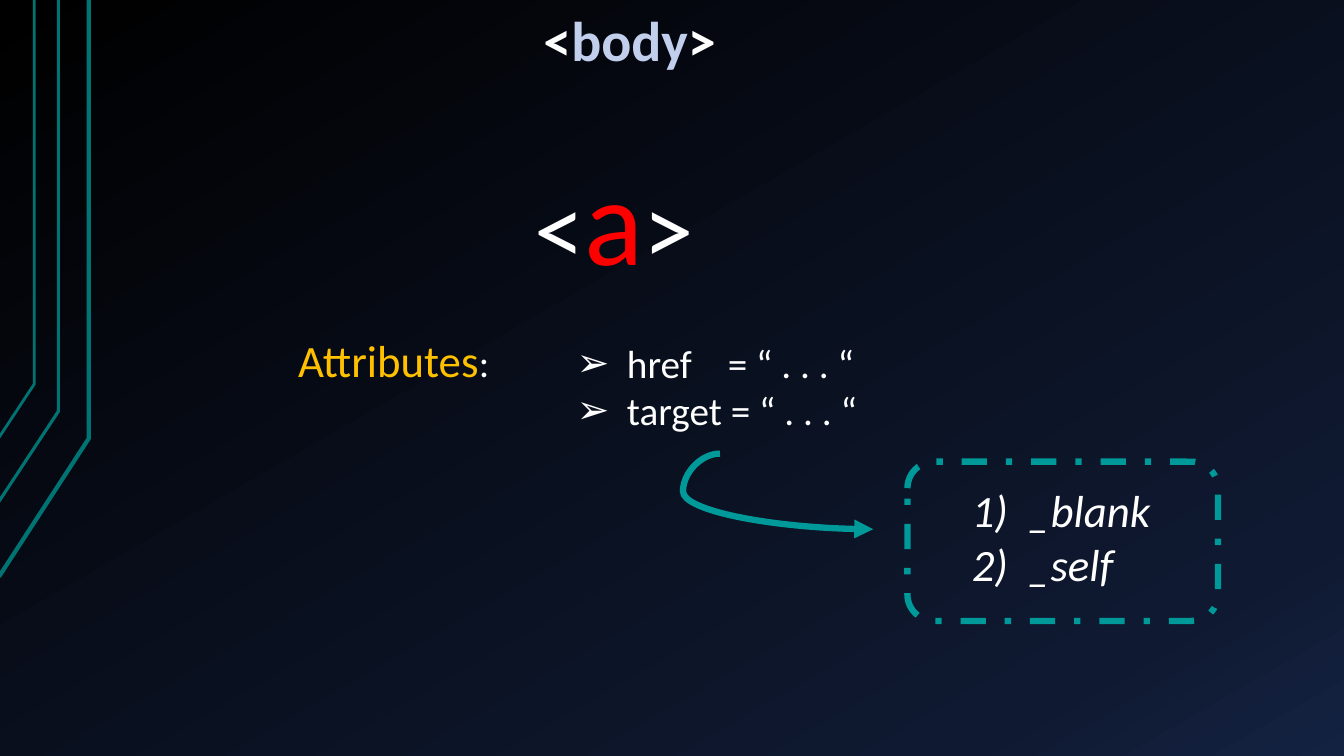
from lxml.etree import SubElement
from pptx import Presentation
from pptx.dml.color import RGBColor
from pptx.enum.dml import MSO_LINE
from pptx.enum.shapes import MSO_CONNECTOR, MSO_SHAPE
from pptx.enum.text import MSO_ANCHOR, MSO_AUTO_SIZE, PP_ALIGN
from pptx.oxml.ns import qn
from pptx.util import Inches, Pt

WHITE = "FFFFFF"
TEAL = "009999"
RAIL = "007373"


def paint(text):
    return RGBColor.from_string(text)


def add(parent, tag, **attrs):
    node = SubElement(parent, qn(tag))
    for key, value in attrs.items():
        node.set(key, str(value))
    return node


def stroke(shape, color, width):
    shape.line.color.rgb = paint(color)
    shape.line.width = Pt(width)


def style(run, size, color, bold=False, italic=False):
    font = run.font
    font.name = "Calibri"
    font.size = Pt(size)
    font.color.rgb = paint(color)
    font.bold = bold
    font.italic = italic


def fill_back(slide):
    slide.background.fill.gradient()
    grad = next(slide.element.iter(qn("a:gradFill")))
    stops = grad.find(qn("a:gsLst"))
    for stop in list(stops):
        stops.remove(stop)
    for pos, color in [(0, "000000"), (85, "0F1931"), (100, "142242")]:
        add(add(stops, "a:gs", pos=pos * 1000), "a:srgbClr", val=color)
    slant = grad.find(qn("a:lin"))
    slant.set("ang", str(60 * 60000))
    slant.set("scaled", "0")


def draw_rails(slide):
    rails = [(-0.01, 5.72, 0.88, 4.35, 3),
             (-0.02, 4.99, 0.58, 4.08, 2.25),
             (-0.01, 4.34, 0.34, 3.81, 2)]
    for left, low, right, bend, width in rails:
        pen = slide.shapes.build_freeform(Inches(left), Inches(low))
        pen.add_line_segments([(Inches(right), Inches(bend)),
                               (Inches(right), 0)], close=False)
        rail = pen.convert_to_shape()
        rail.shadow.inherit = False
        rail.fill.background()
        stroke(rail, RAIL, width)


def set_tag(frame, parts, bold=False):
    frame.vertical_anchor = MSO_ANCHOR.TOP
    line = frame.paragraphs[0]
    line.alignment = PP_ALIGN.CENTER
    for text, size, color in parts:
        run = line.add_run()
        run.text = text
        style(run, size, color, bold)


def add_title(slide, left, top, width, height):
    title = slide.shapes.title
    title.left, title.top = Inches(left), Inches(top)
    title.width, title.height = Inches(width), Inches(height)
    set_tag(title.text_frame, [("<", 40, WHITE), ("body", 40, "C1CEEC"),
                               (">", 40, WHITE)], True)


def add_box(slide, *box):
    frame = slide.shapes.add_textbox(*map(Inches, box)).text_frame
    frame.word_wrap = False
    frame.auto_size = MSO_AUTO_SIZE.SHAPE_TO_FIT_TEXT
    return frame


def add_list(slide, box, items, size, indent, mark, italic=False, stop=None):
    frame = add_box(slide, *box)
    frame.text = "\n".join(items)
    for line in frame.paragraphs:
        line.alignment = PP_ALIGN.LEFT
        for run in line.runs:
            style(run, size, WHITE, italic=italic)
        props = line._p.get_or_add_pPr()
        props.set("marL", str(Inches(indent)))
        props.set("indent", str(-Inches(indent)))
        if mark:
            add(props, "a:buFont", typeface="Wingdings" if mark == "Ø" else "Arial")
            add(props, "a:buChar", char=mark)
        else:
            add(props, "a:buFont", typeface="+mj-lt")
            add(props, "a:buAutoNum", type="arabicParenR")
        if stop:
            add(add(props, "a:tabLst"), "a:tab", pos=Inches(stop), algn="l")


def add_arrow(slide, left, top, right, low):
    arrow = slide.shapes.add_connector(
        MSO_CONNECTOR.CURVE, *map(Inches, (left, top, right, low)))
    stroke(arrow, TEAL, 4.5)
    add(arrow.line._get_or_add_ln(), "a:tailEnd", type="triangle")
    props = arrow._element.spPr
    add(props, "a:effectLst")
    guides = props.find(qn("a:prstGeom")).find(qn("a:avLst"))
    add(guides, "a:gd", name="adj1", fmla="val -24100")


def add_values(slide, left, top, width, height):
    add_list(slide, (left + 0.54, top + 0.16, 2, 1.18),
             ["_blank", "_self"], 32, 0.56, None, italic=True)
    frame = slide.shapes.add_shape(
        MSO_SHAPE.ROUNDED_RECTANGLE, *map(Inches, (left, top, width, height)))
    frame.shadow.inherit = False
    frame.fill.background()
    stroke(frame, TEAL, 4.5)
    frame.line.dash_style = MSO_LINE.DASH_DOT


def add_attrs(slide, left, top):
    set_tag(add_box(slide, left, top, 2.13, 0.64),
            [("Attributes", 32, "FFC000"), (":", 28, WHITE)])
    add_list(slide, (left + 2.78, top + 0.07, 3.05, 1.04),
             ["href\t= “ . . . “", "target = “ . . . “"],
             28, 0.5, "➢", stop=1.5)


def main():
    deck = Presentation()
    deck.slide_width, deck.slide_height = Inches(13.33), Inches(7.5)
    slide = deck.slides.add_slide(deck.slide_layouts[5])
    fill_back(slide)
    draw_rails(slide)
    add_title(slide, 3.83, 0, 4.83, 0.77)
    set_tag(add_box(slide, 5.19, 1.36, 1.8, 1.58),
            [("<", 72, WHITE), ("a", 88, "FF0000"), (">", 72, WHITE)])
    add_attrs(slide, 2.84, 3.25)
    add_arrow(slide, 7.14, 4.5, 8.66, 5.25)
    add_values(slide, 9, 4.58, 3.08, 1.58)
    deck.save("out.pptx")


if __name__ == "__main__":
    main()
